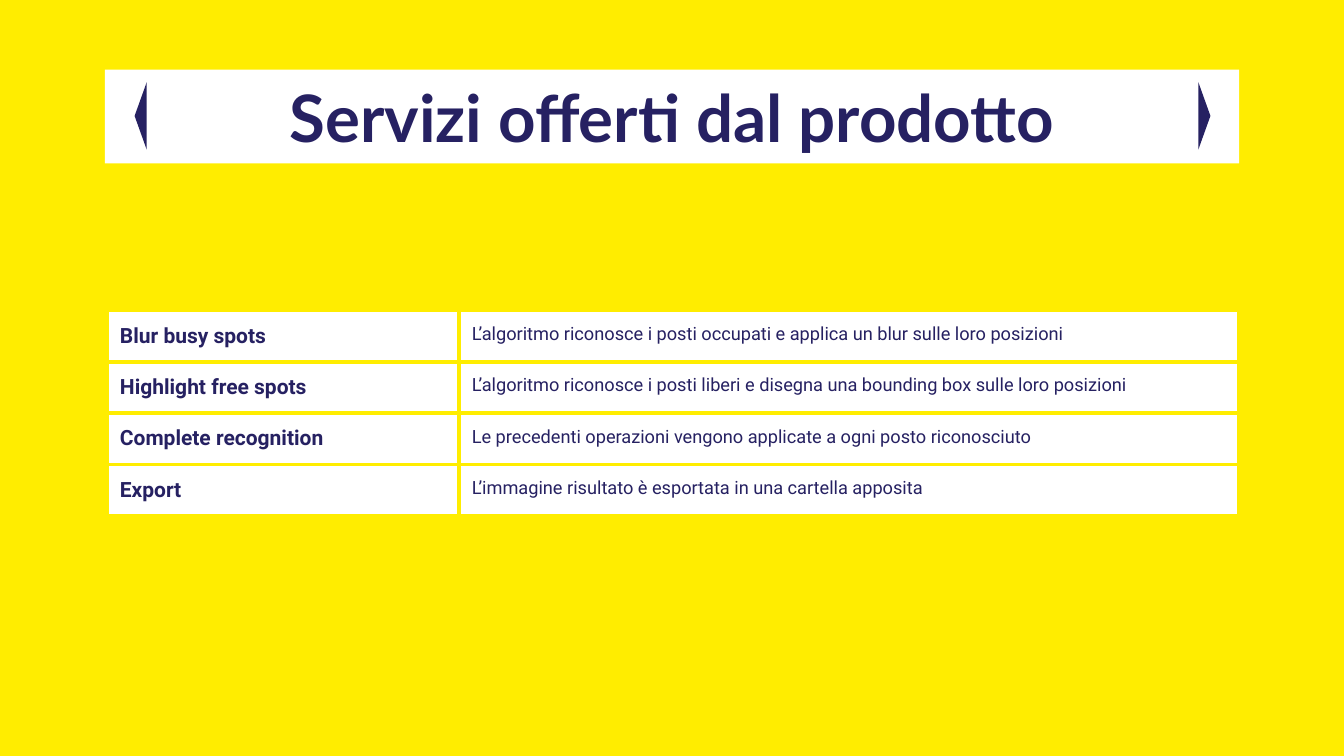
"""Build the slide listing the services offered by the product."""
from dataclasses import dataclass

from lxml import etree
from pptx import Presentation
from pptx import util as u
from pptx.dml.color import RGBColor
from pptx.enum import shapes, text
from pptx.oxml.ns import qn

YELLOW, NAVY, WHITE = "FFED00", "262162", "FFFFFF"
INSET = u.Inches(0.13)
MARGINS = dict.fromkeys(
    ("margin_left", "margin_top", "margin_right", "margin_bottom"), INSET)
NAME_FONT = {"name": "Roboto", "size": u.Pt(15), "bold": True}
DETAIL_FONT = {"name": "Roboto", "size": u.Pt(13), "bold": False}
TITLE_FONT = {"name": "Lato", "size": u.Pt(46.7), "bold": True}


@dataclass
class Service:
    name: str
    detail: str


@dataclass
class Arrow:
    left: float
    rotation: int


SERVICES = [
    Service("Blur busy spots",
            "L’algoritmo riconosce i posti occupati e applica un blur sulle loro posizioni"),
    Service("Highlight free spots",
            "L’algoritmo riconosce i posti liberi e disegna una bounding box sulle loro posizioni"),
    Service("Complete recognition",
            "Le precedenti operazioni vengono applicate a ogni posto riconosciuto"),
    Service("Export",
            "L’immagine risultato è esportata in una cartella apposita"),
]
ARROWS = [Arrow(11.61, 90), Arrow(1.06, 270)]


def apply(obj, values: dict) -> None:
    for key, value in values.items():
        setattr(obj, key, value)


def paint(fill, color: str) -> None:
    fill.solid()
    fill.fore_color.rgb = RGBColor.from_string(color)


def write(tf, content: str, font: dict):
    p = tf.paragraphs[0]
    r = p.add_run()
    r.text = content
    apply(r.font, font)
    r.font.color.rgb = RGBColor.from_string(NAVY)
    return p


def add_title(slide, content: str) -> None:
    sp = slide.shapes.title
    apply(sp, {"left": u.Inches(1.04), "top": u.Inches(0.69),
               "width": u.Inches(11.25), "height": u.Inches(0.93)})
    paint(sp.fill, WHITE)
    tf = sp.text_frame
    apply(tf, {**MARGINS, "word_wrap": True, "auto_size": text.MSO_AUTO_SIZE.NONE,
               "vertical_anchor": text.MSO_ANCHOR.MIDDLE})
    write(tf, content, TITLE_FONT).alignment = text.PP_ALIGN.CENTER


def add_borders(cell, color: str, width: u.Length) -> None:
    tc_pr = cell._tc.get_or_add_tcPr()
    for i, side in enumerate(("a:lnL", "a:lnR", "a:lnT", "a:lnB")):
        ln = etree.Element(qn(side), w=str(int(width)))
        fill = etree.SubElement(ln, qn("a:solidFill"))
        etree.SubElement(fill, qn("a:srgbClr"), val=color)
        tc_pr.insert(i, ln)


def fill_cell(cell, content: str, font: dict):
    apply(cell, MARGINS)
    paint(cell.fill, WHITE)
    add_borders(cell, YELLOW, u.Pt(3))
    return write(cell.text_frame, content, font)


def add_services(slide, services: list[Service]) -> None:
    row_height = u.Inches(0.51)
    table = slide.shapes.add_table(
        len(services), 2, u.Inches(1.06), u.Inches(3.08),
        u.Inches(11.23), row_height * len(services)).table
    apply(table, {"first_row": False, "horz_banding": False})
    for column, width in zip(table.columns, (3.49, 7.74)):
        column.width = u.Inches(width)
    for i, service in enumerate(services):
        table.rows[i].height = row_height
        fill_cell(table.cell(i, 0), service.name, NAME_FONT)
        p = fill_cell(table.cell(i, 1), service.detail, DETAIL_FONT)
        p.space_after = u.Pt(16)


def add_arrow(slide, arrow: Arrow) -> None:
    sp = slide.shapes.add_shape(
        shapes.MSO_SHAPE.ISOSCELES_TRIANGLE, u.Inches(arrow.left),
        u.Inches(1.09), u.Inches(0.67), u.Inches(0.12))
    sp.rotation = arrow.rotation
    sp.shadow.inherit = False
    paint(sp.fill, NAVY)
    sp.line.fill.background()


def main() -> None:
    prs = Presentation()
    apply(prs, {"slide_width": u.Inches(13.33), "slide_height": u.Inches(7.5)})
    slide = prs.slides.add_slide(prs.slide_layouts[5])
    paint(slide.background.fill, YELLOW)
    add_title(slide, "Servizi offerti dal prodotto")
    add_services(slide, SERVICES)
    for arrow in ARROWS:
        add_arrow(slide, arrow)
    prs.save("out.pptx")


if __name__ == "__main__":
    main()
